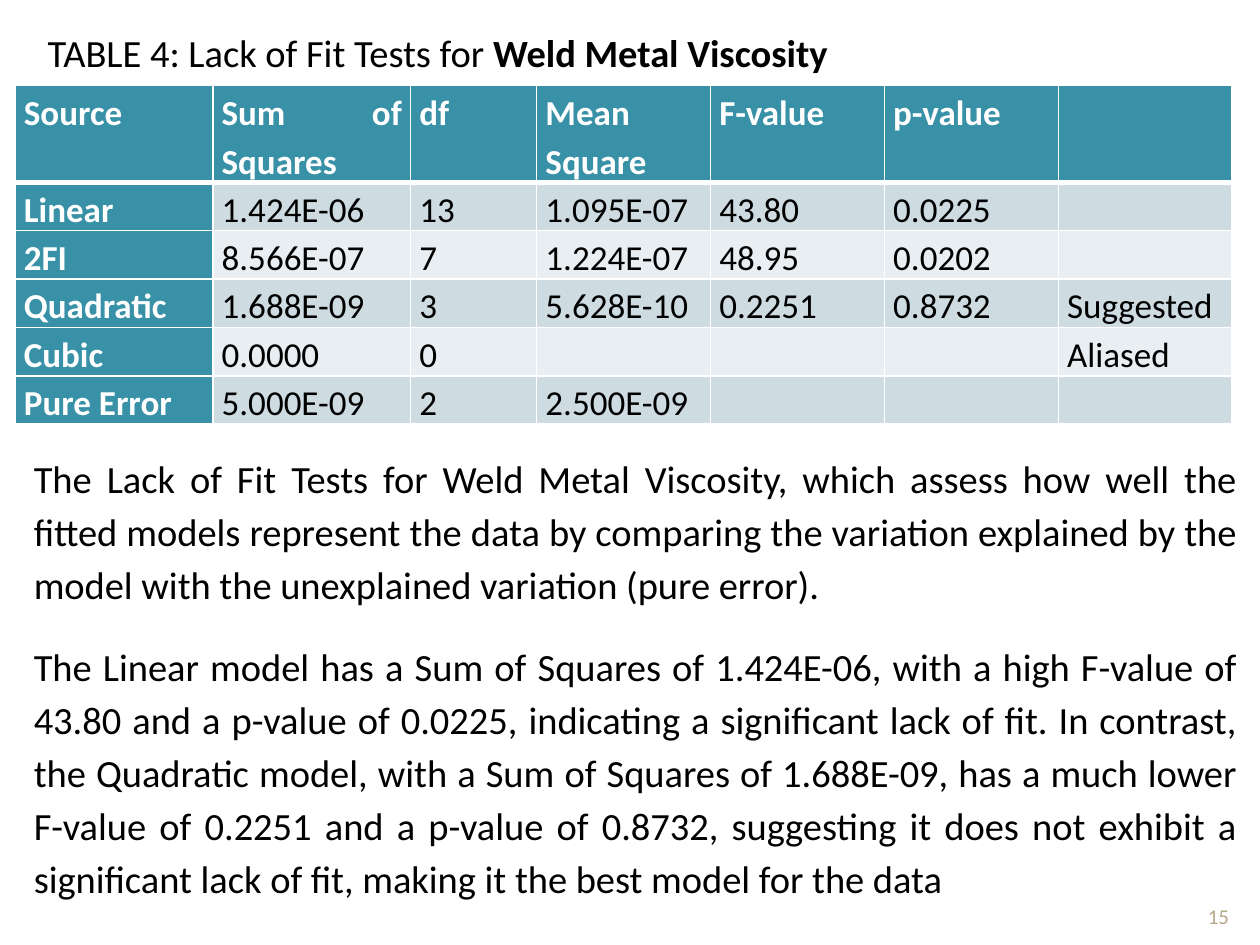
from lxml.etree import SubElement as Sub
from pptx import Presentation
from pptx.dml.color import RGBColor as Rgb
from pptx.enum.text import MSO_ANCHOR as Anchor, MSO_AUTO_SIZE as Auto, PP_ALIGN as Align
from pptx.oxml.ns import qn
from pptx.util import Inches, Pt

# Content
TITLE = [("TABLE 4: Lack of Fit Tests for", False), (" Weld Metal Viscosity", True)]
ROWS = [
    ["Source", "Sum of Squares", "df", "Mean Square", "F-value", "p-value", ""],
    ["Linear", "1.424E-06", "13", "1.095E-07", "43.80", "0.0225", ""],
    ["2FI", "8.566E-07", "7", "1.224E-07", "48.95", "0.0202", ""],
    ["Quadratic", "1.688E-09", "3", "5.628E-10", "0.2251", "0.8732", "Suggested"],
    ["Cubic", "0.0000", "0", "", "", "", "Aliased"],
    ["Pure Error", "5.000E-09", "2", "2.500E-09", "", "", ""],
]
BODY = [
    "The Lack of Fit Tests for Weld Metal Viscosity, which assess how well the "
    "fitted models represent the data by comparing the variation explained by the "
    "model with the unexplained variation (pure error).",
    "The Linear model has a Sum of Squares of 1.424E-06, with a high F-value of "
    "43.80 and a p-value of 0.0225, indicating a significant lack of fit. In contrast, "
    "the Quadratic model, with a Sum of Squares of 1.688E-09, has a much lower "
    "F-value of 0.2251 and a p-value of 0.8732, suggesting it does not exhibit a "
    "significant lack of fit, making it the best model for the data",
]
PAGE = "15"

THEME = {
    "font": "Calibri", "text": 22, "cell": 20, "page": 12,
    "black": "000000", "white": "FFFFFF", "tan": "B6A98A",
    "head": "3891A7", "bands": ("CEDCE1", "E8EEF1"),
}
WIDTHS = [1.57, 1.57, 1] + [1.38] * 4


def add_run(para, text, size, color, bold=False):
    run = para.add_run()
    run.text = text
    font = run.font
    font.name, font.size, font.bold = THEME["font"], Pt(THEME[size]), bold
    font.color.rgb = Rgb.from_string(THEME[color])


def justify(para):
    para.alignment = Align.JUSTIFY
    para.line_spacing = 1.15
    para.space_after = Pt(10)


def add_box(slide, *place):
    frame = slide.shapes.add_textbox(*map(Inches, place)).text_frame
    frame.word_wrap = True
    return frame


def add_edge(cell, side, width):
    line = Sub(cell._tc.get_or_add_tcPr(), qn("a:ln" + side), w=str(Pt(width)))
    Sub(Sub(line, qn("a:solidFill")), qn("a:srgbClr"), val=THEME["white"])


def fill_cell(cell, text, row, col):
    label = row == 0 or col == 0
    cell.margin_left = cell.margin_right = Inches(0.07)
    cell.margin_top = cell.margin_bottom = 0
    # The rule under the header is heavier
    for side in "LRTB":
        heavy = (side, row) in (("B", 0), ("T", 1))
        add_edge(cell, side, 3 if heavy else 1)
    cell.fill.solid()
    shade = THEME["head"] if label else THEME["bands"][(row - 1) % 2]
    cell.fill.fore_color.rgb = Rgb.from_string(shade)
    if text:
        para = cell.text_frame.paragraphs[0]
        justify(para)
        add_run(para, text, "cell", "white" if label else "black", label)


def main():
    deck = Presentation()
    deck.slide_width, deck.slide_height = Inches(10), Inches(7.5)
    slide = deck.slides.add_slide(deck.slide_layouts[6])

    # Page number
    frame = add_box(slide, 9.42, 6.9, 0.5, 0.52)
    frame.vertical_anchor = Anchor.BOTTOM
    para = frame.paragraphs[0]
    para.alignment = Align.CENTER
    add_run(para, PAGE, "page", "tan")

    # Table title
    frame = add_box(slide, 0.28, 0.13, 7.72, 0.49)
    frame.auto_size = Auto.SHAPE_TO_FIT_TEXT
    para = frame.paragraphs[0]
    justify(para)
    for text, bold in TITLE:
        add_run(para, text, "text", "black", bold)

    # Table: rows grow to fit their text
    place = map(Inches, (0.12, 0.68, sum(WIDTHS), 2.54))
    shape = slide.shapes.add_table(len(ROWS), len(WIDTHS), *place)
    table = shape.table
    for col, width in zip(table.columns, WIDTHS):
        col.width = Inches(width)
    for r, texts in enumerate(ROWS):
        table.rows[r].height = Inches(0.22 if r else 0.45)
        for c, text in enumerate(texts):
            fill_cell(table.cell(r, c), text, r, c)
    shape.height = Inches(2.54)

    # Discussion
    frame = add_box(slide, 0.08, 3.51, 9.84, 3.9)
    for i, text in enumerate(BODY):
        para = frame.add_paragraph() if i else frame.paragraphs[0]
        justify(para)
        para._p.get_or_add_pPr().set("marL", str(Inches(0.09)))
        if i:
            para.space_before = Pt(6)
        add_run(para, text, "text", "black")

    deck.save("out.pptx")


if __name__ == "__main__":
    main()
